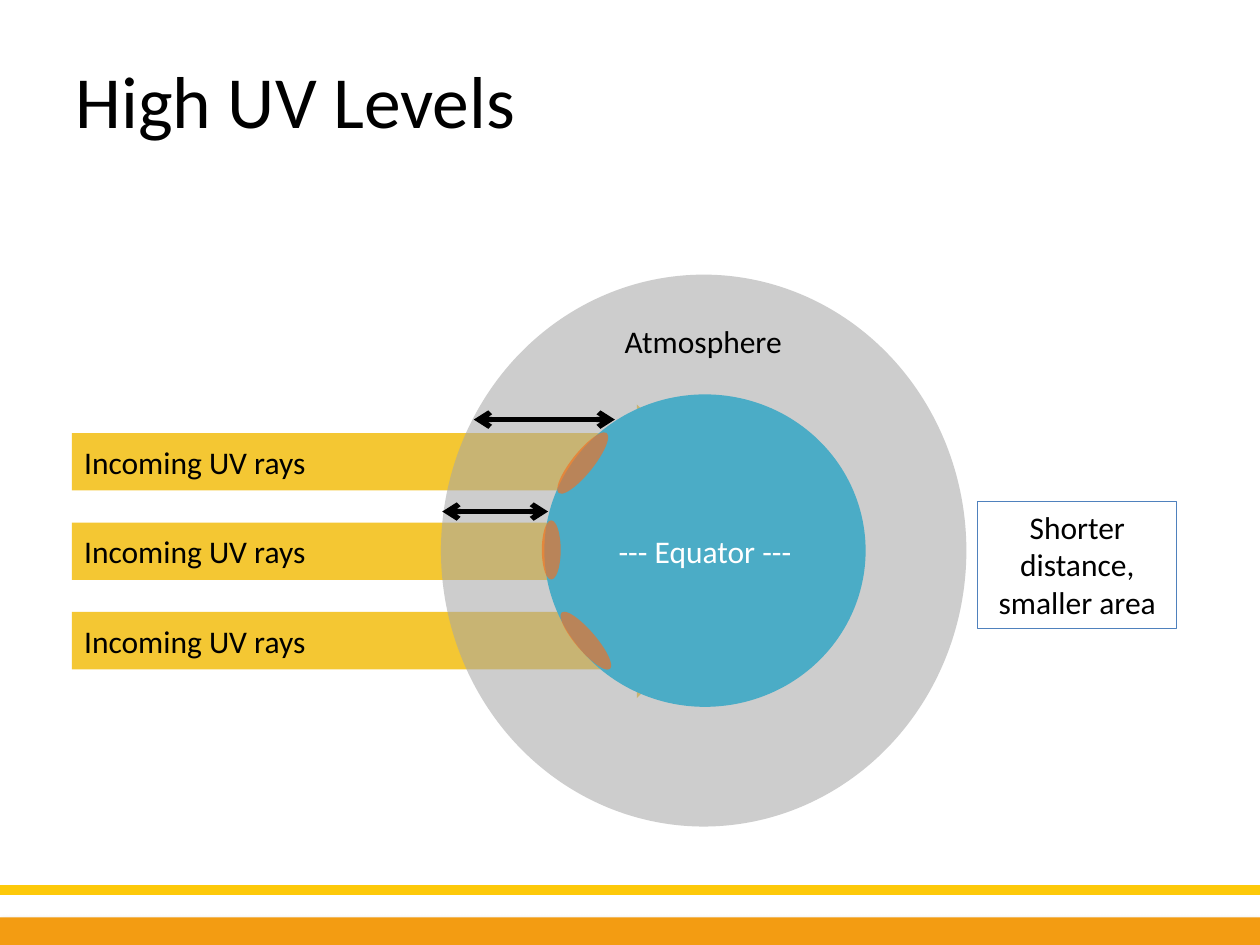
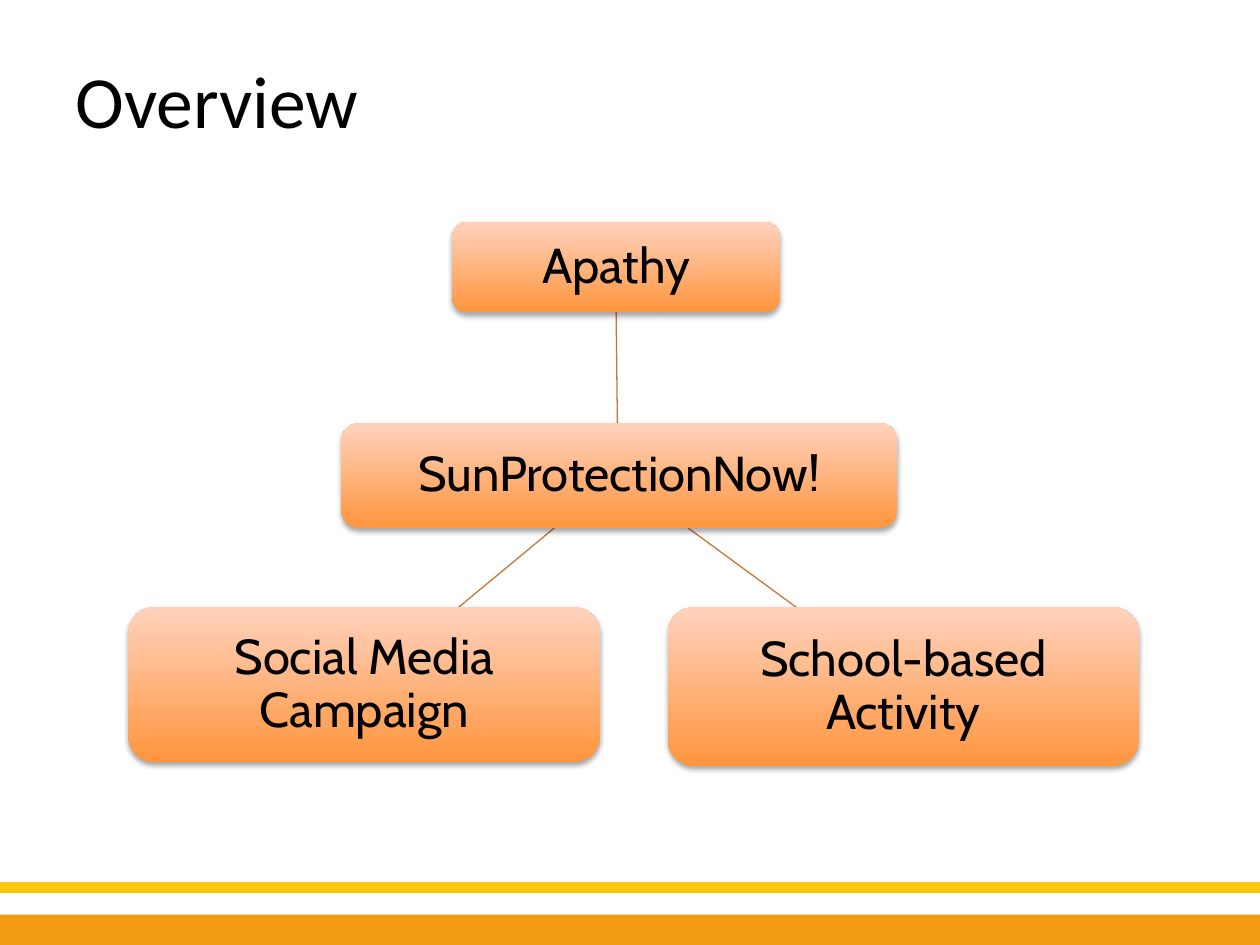
from lxml import etree
from pptx import Presentation
from pptx import util as u
from pptx.dml.color import RGBColor
from pptx.enum import shapes, text
from pptx.oxml import parse_xml
from pptx.oxml.ns import nsdecls, qn

# The grid: 100 columns by 75 rows, each a tenth of an inch
COLUMNS, ROWS = 100, 75
CELL = u.Inches(0.1)

COLORS = {
    "black": "000000", "white": "FFFFFF", "yellow": "FDC90A", "orange": "F39C12",
    "ray": "F4C733", "atmosphere": "A6A6A6", "earth": "4BACC6", "burn": "F27021",
    "frame": "4F81BD", "box_bottom": "FF953E", "box_top": "FFD2BD", "link": "C67838",
}
TITLE_FONT = {"name": "Calibri", "size": u.Pt(42)}
LABEL_FONT = {"name": "Calibri", "size": u.Pt(18)}
BOX_FONT = {"name": "Cabin", "size": u.Pt(28)}

KIND = shapes.MSO_SHAPE
LEFT, CENTER = text.PP_ALIGN.LEFT, text.PP_ALIGN.CENTER
TOP, MIDDLE = text.MSO_ANCHOR.TOP, text.MSO_ANCHOR.MIDDLE


def color(name):
    return RGBColor.from_string(COLORS[name])


def grid(*lengths):
    return [round(length * CELL) for length in lengths]


def apply(target, values):
    for name, value in values.items():
        setattr(target, name, value)


class Deck:
    def __init__(self):
        self.presentation = Presentation()
        self.presentation.slide_width, self.presentation.slide_height = grid(COLUMNS, ROWS)
        self.slide = None

    def add_slide(self, title, band_top):
        layout = self.presentation.slide_layouts.get_by_name("Title Only")
        self.slide = self.presentation.slides.add_slide(layout)
        # Footer stripe and band
        self.line((0, band_top - 2.15), (COLUMNS, band_top - 2.15), "yellow", 6)
        band = self.shape(KIND.RECTANGLE, (0, band_top, COLUMNS, ROWS - band_top), "orange")
        self.shadow(band)
        # Title
        heading = self.slide.shapes.title
        apply(heading, dict(zip(("left", "top", "width", "height"), grid(5, 3.9, 79.4, 8.1))))
        self.set_text(heading, title, TITLE_FONT, anchor=TOP)

    def set_text(self, shape, words, font, ink="black", align=LEFT, anchor=MIDDLE,
                 spacing=1.0, margin=None):
        frame = shape.text_frame
        frame.text = words
        apply(frame, {"word_wrap": True, "vertical_anchor": anchor,
                      "auto_size": text.MSO_AUTO_SIZE.NONE})
        if margin is not None:
            sides = ("left", "top", "right", "bottom")
            apply(frame, {f"margin_{side}": margin for side in sides})
        paragraph = frame.paragraphs[0]
        apply(paragraph, {"alignment": align, "line_spacing": spacing})
        apply(paragraph.font, font)
        paragraph.font.color.rgb = color(ink)

    def shape(self, kind, place, fill=None, alpha=None, rotation=0, outline=None):
        shape = self.slide.shapes.add_shape(kind, *grid(*place))
        shape.shadow.inherit = False
        shape.rotation = rotation
        if fill:
            shape.fill.solid()
            shape.fill.fore_color.rgb = color(fill)
        else:
            shape.fill.background()
        if alpha:
            tint = shape._element.spPr.find(f".//{qn('a:srgbClr')}")
            etree.SubElement(tint, qn("a:alpha"), val=str(alpha * 1000))
        if outline:
            shape.line.color.rgb = color(outline)
            shape.line.width = u.Pt(0.75)
        else:
            shape.line.fill.background()
        return shape

    def shadow(self, shape):
        effects = shape._element.spPr.find(qn("a:effectLst"))
        effects.append(parse_xml(
            f'<a:outerShdw {nsdecls("a")} blurRad="40000" dist="23000" dir="5400000" '
            'rotWithShape="0"><a:srgbClr val="000000"><a:alpha val="35000"/>'
            '</a:srgbClr></a:outerShdw>'))

    def label(self, place, words):
        label = self.slide.shapes.add_textbox(*grid(*place))
        self.set_text(label, words, LABEL_FONT, anchor=TOP)

    def line(self, start, end, ink, width, arrows=False):
        line = self.slide.shapes.add_connector(
            shapes.MSO_CONNECTOR.STRAIGHT, *grid(*start, *end))
        line.line.color.rgb = color(ink)
        line.line.width = u.Pt(width)
        if arrows:
            outline = line._element.spPr.find(qn("a:ln"))
            for tag in ("a:headEnd", "a:tailEnd"):
                etree.SubElement(outline, qn(tag), type="arrow")
        etree.SubElement(line._element.spPr, qn("a:effectLst"))

    def box(self, place, words):
        box = self.shape(KIND.ROUNDED_RECTANGLE, place)
        box.fill.gradient()
        box.fill.gradient_angle = 90
        for stop, name in zip(box.fill.gradient_stops, ("box_bottom", "box_top")):
            stop.color.rgb = color(name)
        self.shadow(box)
        self.set_text(box, words, BOX_FONT, align=CENTER, spacing=0.9, margin=u.Inches(0.08))


def add_uv_levels(deck):
    deck.add_slide("High UV Levels", 72.8)
    # Rays, from the lowest up
    for step in (2, 1, 0):
        ray = deck.shape(KIND.RIGHT_ARROW, (5.7, 32.1 + 7.1 * step, 49.4, 9.1), "ray")
        deck.set_text(ray, "Incoming UV rays", LABEL_FONT)
    # Atmosphere and earth
    deck.shape(KIND.OVAL, (35, 21.8, 41.7, 43.8), "atmosphere", alpha=56)
    earth = deck.shape(KIND.OVAL, (43.2, 31.3, 25.5, 24.8), "earth")
    deck.set_text(earth, "--- Equator ---", LABEL_FONT, ink="white", align=CENTER)
    # Distances through the atmosphere
    for left, right, row in ((37.6, 48.8, 33.3), (35.1, 43.5, 40.6)):
        deck.line((left, row), (right, row), "black", 3, arrows=True)
    # Areas the rays reach
    for place, rotation in (((43, 41.3, 1.5, 4.7), 0),
                            ((45.4, 33.7, 1.7, 6.1), 38.7),
                            ((45.7, 47.9, 1.6, 5.9), 319.4)):
        deck.shape(KIND.OVAL, place, "burn", alpha=66, rotation=rotation)
    # Labels
    note = deck.shape(KIND.RECTANGLE, (77.6, 39.8, 15.8, 10.1), outline="frame")
    deck.set_text(note, "Shorter distance, smaller area", LABEL_FONT, align=CENTER, anchor=TOP)
    deck.label((48.6, 25.1, 16.8, 4), "Atmosphere")


def add_overview(deck):
    deck.add_slide("Overview", 72.6)
    # Links between the boxes
    for start, end in (((48.9, 24.8), (49, 33.6)),
                       ((54.6, 41.9), (63.2, 48.2)),
                       ((44, 41.9), (36.4, 48.2))):
        deck.line(start, end, "link", 0.75)
    # Boxes
    for place, words in (((35.9, 17.6, 26, 7.2), "Apathy"),
                         ((27.1, 33.6, 44.1, 8.3), "SunProtectionNow!"),
                         ((10.2, 48.2, 37.4, 12.3), "Social Media Campaign"),
                         ((53, 48.2, 37.4, 12.6), "School-based Activity")):
        deck.box(place, words)


def main():
    deck = Deck()
    add_uv_levels(deck)
    add_overview(deck)
    deck.presentation.save("out.pptx")


if __name__ == "__main__":
    main()
